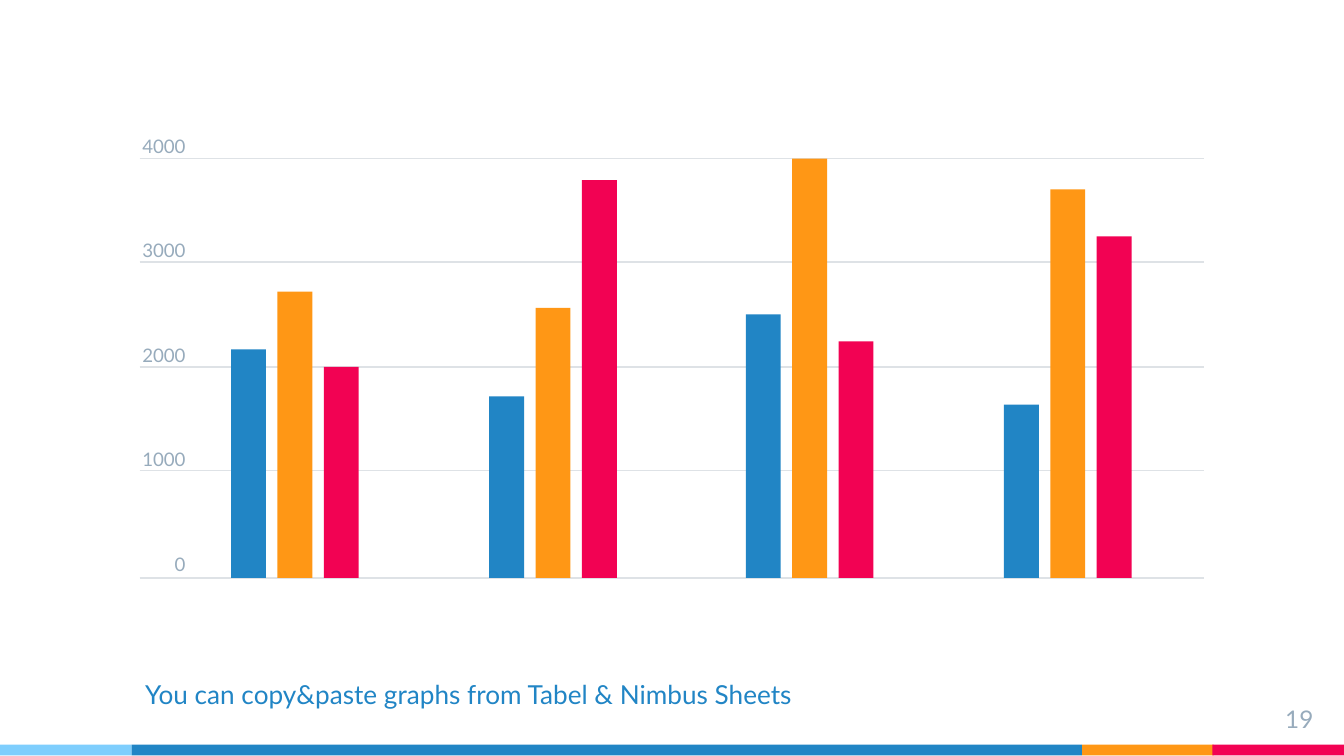
from pptx import Presentation
from pptx.util import Inches, Pt
from pptx.dml.color import RGBColor
from pptx.enum.shapes import MSO_SHAPE, MSO_CONNECTOR
from pptx.enum.text import MSO_ANCHOR, MSO_AUTO_SIZE, PP_ALIGN
from pptx.oxml.ns import qn
from lxml import etree

BLUE = RGBColor(0x21, 0x85, 0xC5)
ORANGE = RGBColor(0xFF, 0x97, 0x15)
PINK = RGBColor(0xF2, 0x02, 0x53)
SKY = RGBColor(0x7E, 0xCE, 0xFD)
GRAY = RGBColor(0x97, 0xAB, 0xBC)
GRID = RGBColor(0xDE, 0xE2, 0xE6)

# 16:9 slide
prs = Presentation()
prs.slide_width = Inches(10)
prs.slide_height = Inches(10) * 9 // 16
s = prs.slides.add_slide(prs.slide_layouts.get_by_name("Section Header"))


def add_rect(x, y, w, h, color):
    sp = s.shapes.add_shape(MSO_SHAPE.RECTANGLE, Inches(x), Inches(y), Inches(w), Inches(h))
    sp.shadow.inherit = False
    sp.fill.solid()
    sp.fill.fore_color.rgb = color
    sp.line.fill.background()


def write_lines(sp, lines, size, color, align, margin):
    tf = sp.text_frame
    tf.word_wrap = True
    tf.auto_size = MSO_AUTO_SIZE.NONE
    tf.margin_left = tf.margin_right = tf.margin_top = tf.margin_bottom = Inches(margin)
    tf.text = "\n".join(lines)
    for p in tf.paragraphs:
        p.alignment = align
        p.font.name, p.font.size = "Lato", Pt(size)
        p.font.color.rgb = color
    return tf


# Footer stripe
for x, w, color in [(8.05, 0.98, ORANGE), (9.02, 0.98, PINK), (0, 0.98, SKY), (0.98, 7.07, BLUE)]:
    add_rect(x, 5.54, w, 0.08, color)

# Caption in the body placeholder; the slide has no title
title = s.shapes.title
title.element.getparent().remove(title.element)
caption = s.placeholders[1]
caption.left, caption.top = Inches(0.98), Inches(5)
caption.width, caption.height = Inches(7.92), Inches(0.38)
tf = write_lines(caption, ["You can copy&paste graphs from Tabel & Nimbus Sheets"], 14, BLUE, PP_ALIGN.LEFT, 0.1)
tf.vertical_anchor = MSO_ANCHOR.BOTTOM
tf.paragraphs[0].space_before = Pt(3.6)

# Slide number
number = s.shapes.add_textbox(Inches(9.27), Inches(5.14), Inches(0.6), Inches(0.34))
write_lines(number, ["19"], 13, GRAY, PP_ALIGN.RIGHT, 0.1)

# Gridlines
BASE = 4.3
for y in (1.18, 1.95, 2.73, 3.5, BASE):
    line = s.shapes.add_connector(MSO_CONNECTOR.STRAIGHT, Inches(1.04), Inches(y), Inches(8.96), Inches(y))
    line.line.color.rgb = GRID
    line.line.width = Pt(0.75)
    etree.SubElement(line.element.spPr, qn("a:effectLst"))

# Axis labels, spaced to sit on the gridlines
axis = s.shapes.add_textbox(Inches(1.04), Inches(1), Inches(0.34), Inches(3.31))
labels = [str(value) for value in range(4000, -1, -1000)]
tf = write_lines(axis, labels, 10, GRAY, PP_ALIGN.RIGHT, 0)
for p in tf.paragraphs[1:]:
    p.space_before = Pt(44)
tf.paragraphs[-1].space_after = Pt(44)

# Bars: four groups of three, given by height in inches
lefts = (1.72, 3.64, 5.55, 7.47)
groups = [(1.7, 2.13, 1.57), (1.35, 2.01, 2.96), (1.96, 3.12, 1.76), (1.29, 2.89, 2.54)]
for left, heights in zip(lefts, groups):
    for i, (h, color) in enumerate(zip(heights, (BLUE, ORANGE, PINK))):
        add_rect(left + i * 0.69 / 2, BASE - h, 0.26, h, color)

prs.save("out.pptx")
